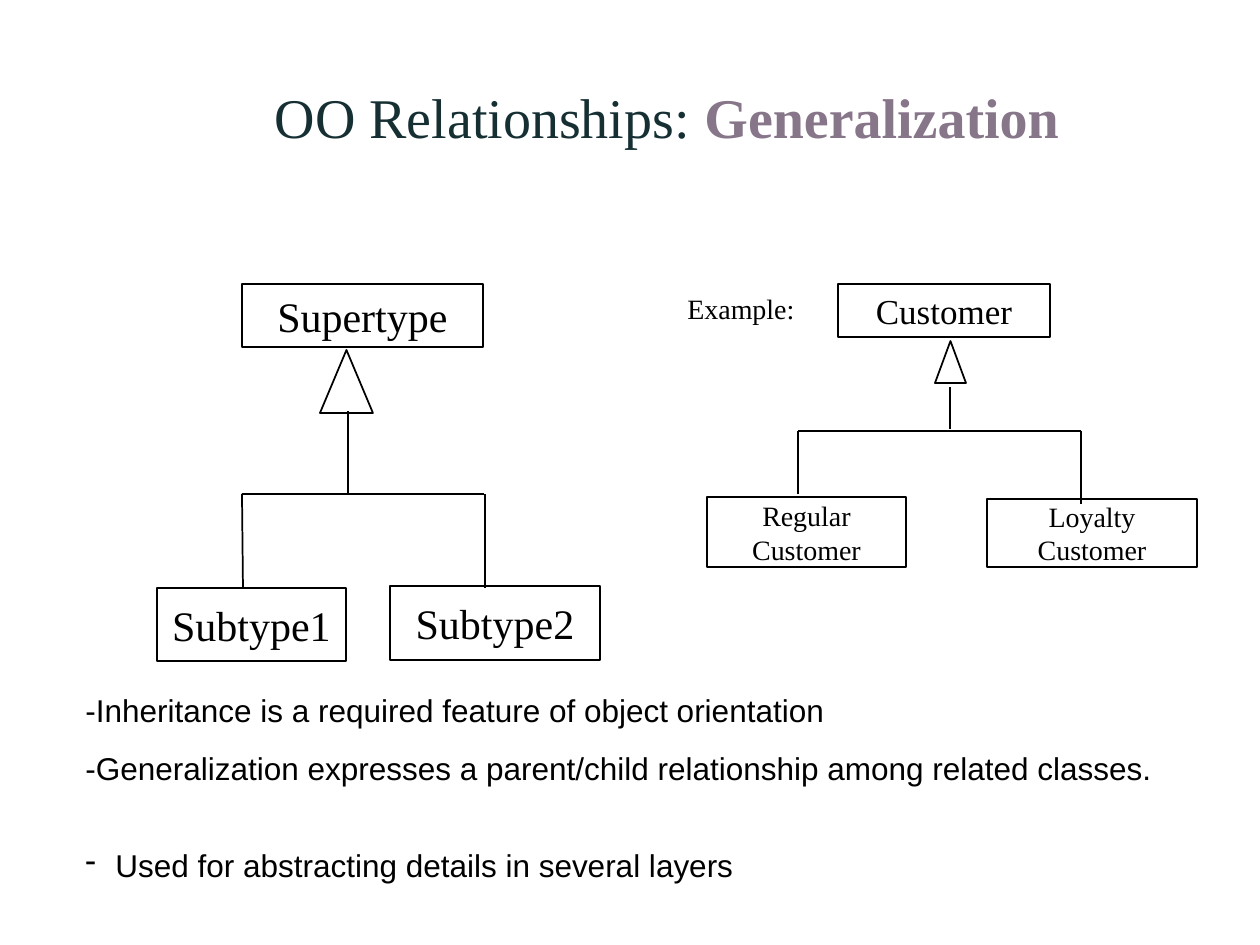
from lxml import etree
from pptx import Presentation
from pptx.dml.color import RGBColor
from pptx.enum.shapes import MSO_CONNECTOR, MSO_SHAPE
from pptx.enum.text import MSO_ANCHOR, MSO_AUTO_SIZE, PP_ALIGN
from pptx.oxml.ns import qn
from pptx.util import Pt

RECTANGLE = MSO_SHAPE.RECTANGLE
TRIANGLE = MSO_SHAPE.ISOSCELES_TRIANGLE
STRAIGHT = MSO_CONNECTOR.STRAIGHT
TOP, MIDDLE = MSO_ANCHOR.TOP, MSO_ANCHOR.MIDDLE
LEFT, CENTER = PP_ALIGN.LEFT, PP_ALIGN.CENTER
NO_AUTOFIT = MSO_AUTO_SIZE.NONE
SERIF, SANS = "Times New Roman", "Arial"
COLORS = {"ink": "000000", "title": "162F33", "accent": "877589"}
TITLE_ONLY = 5


def px(*lengths):
    return [round(length * 914400 / 126) for length in lengths]


def write(shape, lines, size, font, anchor, alignment):
    frame = shape.text_frame
    frame.text = "\n".join(lines)
    frame.auto_size = NO_AUTOFIT
    frame.vertical_anchor = anchor
    for paragraph in frame.paragraphs:
        paragraph.alignment = alignment
        paragraph.font.size = Pt(size)
        paragraph.font.name = font
        paragraph.font.color.rgb = RGBColor.from_string(COLORS["ink"])
    return frame


presentation = Presentation()
presentation.slide_width, presentation.slide_height = px(1260, 945)
slide = presentation.slides.add_slide(presentation.slide_layouts[TITLE_ONLY])

title = slide.shapes.title
title.left, title.top, title.width, title.height = px(262, 76, 848, 81)
frame = write(title, [""], 32, SERIF, TOP, LEFT)
for text, color, bold in [
    ("OO Relationships: ", "title", False),
    ("Generalization", "accent", True),
]:
    run = frame.paragraphs[0].add_run()
    run.text = text
    run.font.bold = bold
    run.font.color.rgb = RGBColor.from_string(COLORS[color])

outlines = [
    (RECTANGLE, (242, 284, 241, 63), ["Supertype"], 24),
    (RECTANGLE, (157, 588, 189, 73), ["Subtype1"], 24),
    (RECTANGLE, (390, 586, 210, 74), ["Subtype2"], 24),
    (RECTANGLE, (838, 284, 212, 53), ["Customer"], 20),
    (RECTANGLE, (707, 497, 199, 70), ["Regular", "Customer"], 16),
    (RECTANGLE, (987, 499, 210, 68), ["Loyalty", "Customer"], 16),
    (TRIANGLE, (320, 350, 53, 63), [], 0),
    (TRIANGLE, (935, 341, 31, 42), [], 0),
]
for preset, box, lines, size in outlines:
    shape = slide.shapes.add_shape(preset, *px(*box))
    shape.shadow.inherit = False
    shape.fill.background()
    shape.line.color.rgb = RGBColor.from_string(COLORS["ink"])
    shape.line.width = Pt(1)
    if lines:
        write(shape, lines, size, SERIF, MIDDLE, CENTER).word_wrap = False

branches = [
    ((348, 494, 348, 411), 0.75),
    ((242, 494, 484, 494), 1),
    ((242, 494, 243, 588), 1),
    ((485, 494, 485, 588), 1),
    ((950, 387, 950, 429), 1),
    ((798, 431, 1081, 431), 1),
    ((798, 431, 798, 494), 0.75),
    ((1081, 431, 1081, 504), 0.75),
]
for ends, width in branches:
    branch = slide.shapes.add_connector(STRAIGHT, *px(*ends))
    branch.line.color.rgb = RGBColor.from_string(COLORS["ink"])
    branch.line.width = Pt(width)
    etree.SubElement(branch._element.spPr, qn("a:effectLst"))

example = slide.shapes.add_textbox(*px(675, 285, 145, 47))
write(example, ["Example:"], 16, SERIF, TOP, LEFT).word_wrap = True

notes = slide.shapes.add_textbox(*px(73, 685, 1092, 204))
frame = write(notes, [
    "-Inheritance is a required feature of object orientation",
    "-Generalization expresses a parent/child relationship among related classes.",
    "Used for abstracting details in several layers",
], 18, SANS, TOP, LEFT)
frame.word_wrap = True
for paragraph, gap in zip(frame.paragraphs, (0, 11.2, 34)):
    paragraph.space_before = Pt(gap)

properties = frame.paragraphs[-1]._p.get_or_add_pPr()
indent = px(30)[0]
properties.set("marL", str(indent))
properties.set("indent", str(-indent))
bullet = etree.Element(qn("a:buChar"), char="-")
properties.find(qn("a:spcBef")).addnext(bullet)

presentation.save("out.pptx")
